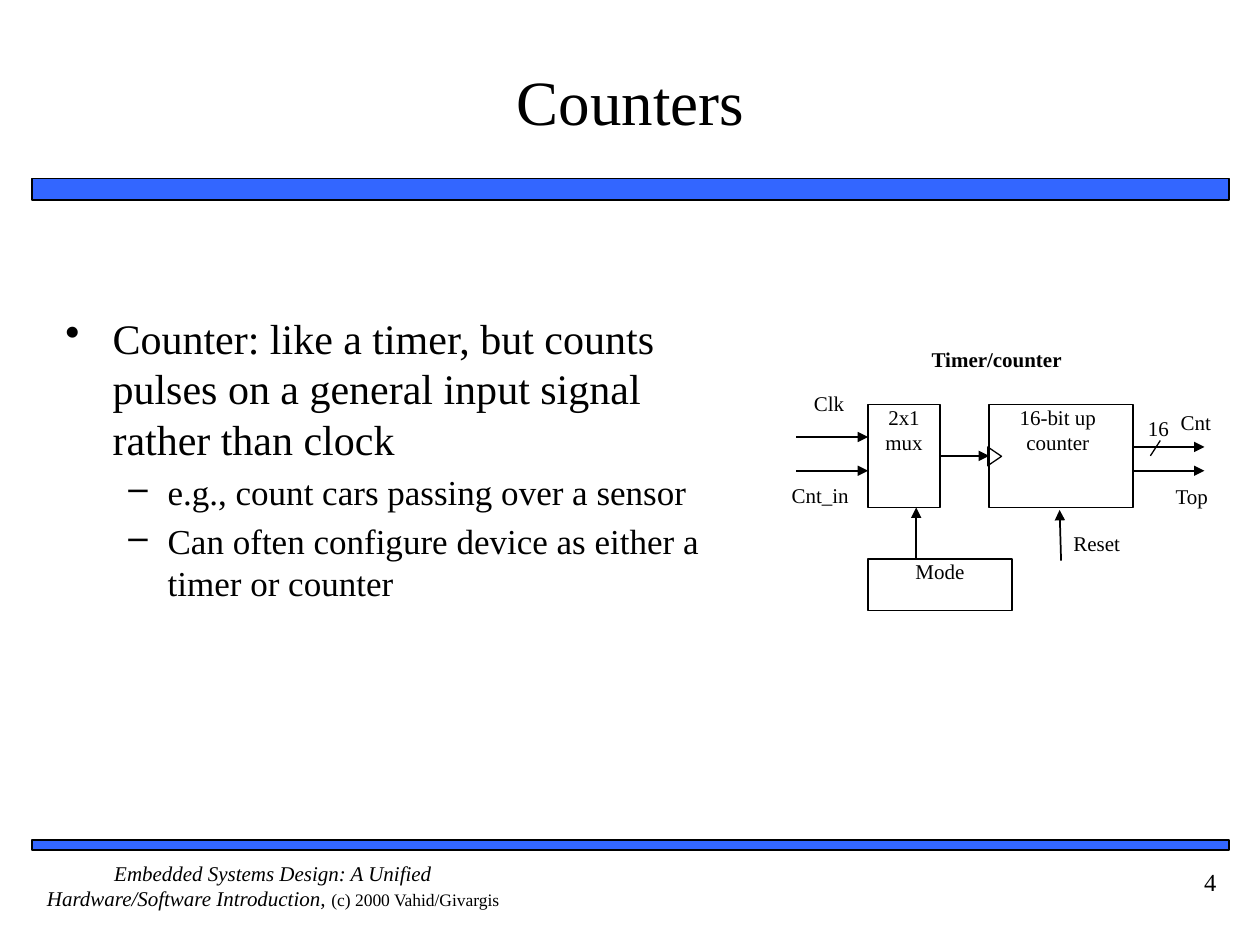
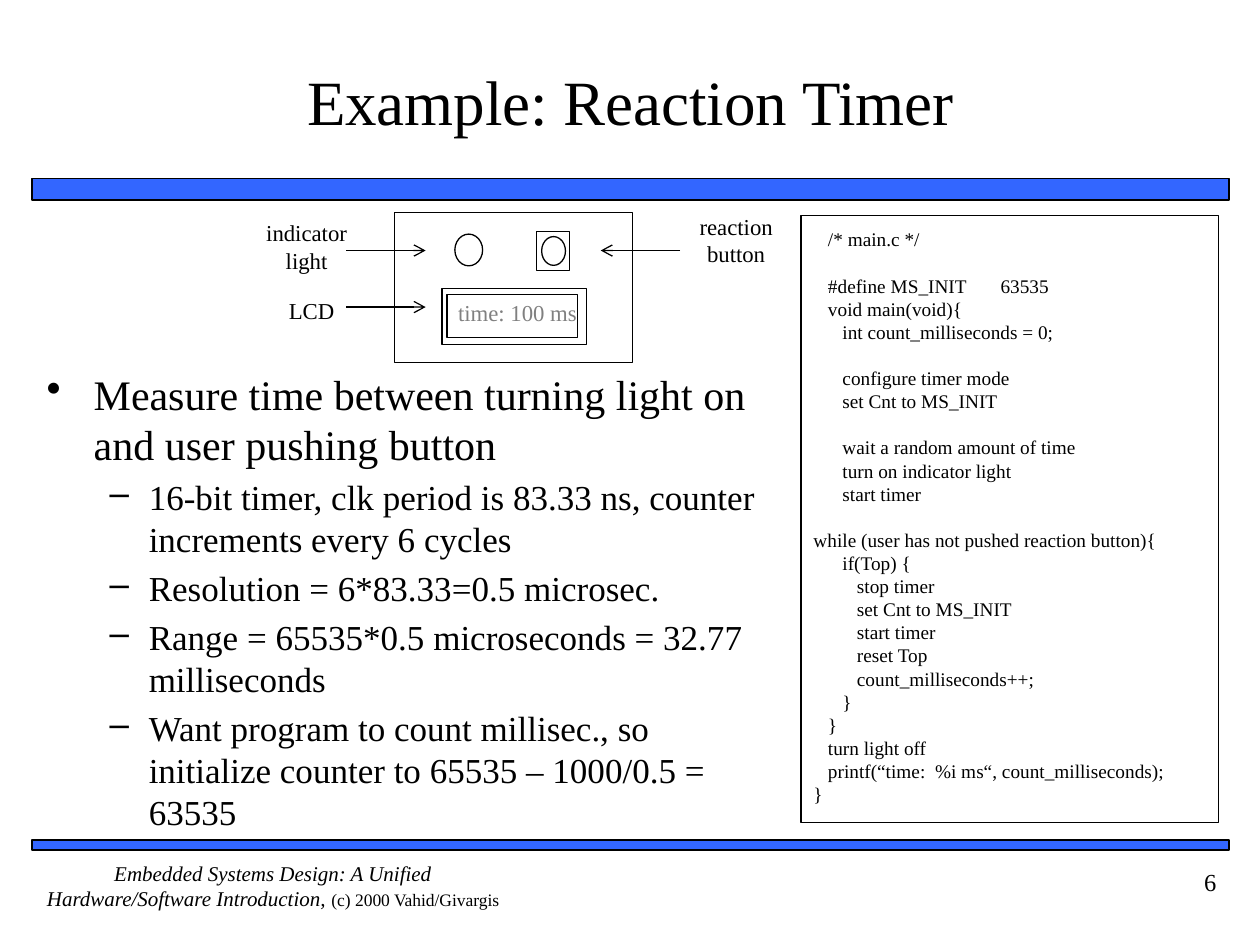
"""Build two lecture slides on counters and timers."""
from dataclasses import dataclass

import lxml.etree
import pptx
import pptx.dml.color
import pptx.enum.shapes
import pptx.enum.text
import pptx.oxml.ns
import pptx.util

Cm = pptx.util.Cm
Pt = pptx.util.Pt
Preset = pptx.enum.shapes.MSO_SHAPE
Align = pptx.enum.text.PP_ALIGN
Anchor = pptx.enum.text.MSO_ANCHOR

FONT = "Times New Roman"
COLOURS = {"ink": "000000", "band": "3366FF", "paper": "FFFFFF", "display": "808080"}
BULLETS = [("•", 24, 0.95, -0.95), ("–", 20, 2.06, -0.79)]
CODE_SIZE = 11
BLANK_LINE = Pt(13.2)

PROGRAM = [
    ["   /* main.c */"],
    ["   #define MS_INIT\t63535",
     "   void main(void){",
     "      int count_milliseconds = 0;"],
    ["      configure timer mode",
     "      set Cnt to MS_INIT"],
    ["      wait a random amount of time",
     "      turn on indicator light",
     "      start timer"],
    ["while (user has not pushed reaction button){",
     "      if(Top) {",
     "         stop timer",
     "         set Cnt to MS_INIT",
     "         start timer",
     "         reset Top",
     "         count_milliseconds++;",
     "      }",
     "   }",
     "   turn light off",
     "   printf(“time:  %i ms“, count_milliseconds);",
     "}"],
]


def rgb(name):
    """Return the named colour."""
    return pptx.dml.color.RGBColor.from_string(COLOURS[name])


def add_xml(parent, tag, **attributes):
    """Append a DrawingML element to the parent."""
    return lxml.etree.SubElement(parent, pptx.oxml.ns.qn(tag), attributes)


def style(font, size, colour="ink", bold=False, italic=False):
    """Set the shared typeface with the given size and look."""
    font.name = FONT
    font.size = Pt(size)
    font.color.rgb = rgb(colour)
    font.bold = bold
    font.italic = italic


def prepare(frame, insets=(0, 0, 0, 0), anchor=Anchor.TOP):
    """Make a text frame wrap, with insets given as left, top, right, bottom."""
    frame.word_wrap = True
    frame.vertical_anchor = anchor
    frame.margin_left, frame.margin_top, frame.margin_right, frame.margin_bottom = map(Cm, insets)
    return frame


def fill_paragraph(paragraph, text, size, align=Align.CENTER, **look):
    """Write one uniformly styled paragraph."""
    paragraph.text = text
    paragraph.alignment = align
    style(paragraph.font, size, **look)


@dataclass
class Region:
    """A part of a slide whose contents are placed from its top left corner."""

    slide: object
    left: float
    top: float
    width: float
    height: float

    def place(self, x, y, width, height):
        """Turn a local box in centimetres into slide lengths."""
        return Cm(self.left + x), Cm(self.top + y), Cm(width), Cm(height)

    def frame(self, insets=(0, 0, 0, 0), anchor=Anchor.TOP):
        """Add a text box that covers the region."""
        box = self.slide.shapes.add_textbox(*self.place(0, 0, self.width, self.height))
        return prepare(box.text_frame, insets, anchor)

    def label(self, text, x, y, width, height, size=12, **look):
        """Add a short text."""
        box = self.slide.shapes.add_textbox(*self.place(x, y, width, height))
        fill_paragraph(prepare(box.text_frame).paragraphs[0], text, size, **look)

    def outline(self, x, y, width, height, preset=Preset.RECTANGLE, fill=None, weight=0.75):
        """Add a black-edged shape."""
        shape = self.slide.shapes.add_shape(preset, *self.place(x, y, width, height))
        shape.shadow.inherit = False
        if fill:
            shape.fill.solid()
            shape.fill.fore_color.rgb = rgb(fill)
        else:
            shape.fill.background()
        shape.line.color.rgb = rgb("ink")
        shape.line.width = Pt(weight)
        return shape

    def block(self, text, x, y, width, height, right_inset=0):
        """Add a labelled block of a circuit."""
        frame = prepare(self.outline(x, y, width, height).text_frame, (0, 0, right_inset, 0))
        fill_paragraph(frame.paragraphs[0], text, 12)

    def wire(self, x1, y1, x2, y2, head=None, weight=1):
        """Add a straight line, with an arrowhead at its end if one is named."""
        line = self.slide.shapes.add_connector(
            pptx.enum.shapes.MSO_CONNECTOR.STRAIGHT,
            Cm(self.left + x1), Cm(self.top + y1), Cm(self.left + x2), Cm(self.top + y2))
        line.line.color.rgb = rgb("ink")
        line.line.width = Pt(weight)
        if head:
            add_xml(line.line._get_or_add_ln(), "a:tailEnd", type=head)
        add_xml(line._element.spPr, "a:effectLst")


def add_header(region, title):
    """Write the slide title above its band."""
    frame = region.frame((0, 0.13, 0, 0.13), Anchor.MIDDLE)
    fill_paragraph(frame.paragraphs[0], title, 36)
    region.outline(-0.43, 3.17, 24.13, 0.43, fill="band", weight=1)


def add_footer(region, number):
    """Draw the footer band, the book credit and the page number."""
    region.outline(0, 0, region.width, 0.2, fill="band", weight=1)
    credit = Region(region.slide, region.left, region.top + 0.41, 9.73, 1.27).frame().paragraphs[0]
    credit.alignment = Align.CENTER
    for text, size, italic in [
            ("Embedded Systems Design: A Unified Hardware/Software Introduction, ", 12, True),
            ("(c) 2000 Vahid/Givargis", 10, False)]:
        run = credit.add_run()
        run.text = text
        style(run.font, size, italic=italic)
    region.label(str(number), 21.84, 0.54, 2.04, 1.02, size=14, align=Align.RIGHT)


def add_bullets(region, points):
    """Write (level, text) points as a bulleted list."""
    frame = region.frame((0.25, 0.13, 0.25, 0.13))
    for index, (level, text) in enumerate(points):
        paragraph = frame.add_paragraph() if index else frame.paragraphs[0]
        mark, size, margin, indent = BULLETS[level]
        properties = paragraph._p.get_or_add_pPr()
        properties.set("marL", str(Cm(margin)))
        properties.set("indent", str(Cm(indent)))
        add_xml(properties, "a:buChar", char=mark)
        paragraph.level = level
        if index:
            paragraph.space_before = Pt(size * 0.2)
        fill_paragraph(paragraph, text, size, align=Align.LEFT)


def add_counter_circuit(region):
    """Draw the timer/counter block diagram."""
    region.label("Timer/counter", 2.44, 0, 4.17, 0.69, bold=True)
    region.block("2x1 mux", 1.93, 1.17, 1.45, 2.08)
    region.block("16-bit up counter", 4.37, 1.17, 2.9, 2.08, right_inset=0.13)
    region.block("Mode", 1.93, 4.29, 2.9, 1.04)
    clock_input = region.outline(4.29, 2.08, 0.38, 0.28, Preset.ISOSCELES_TRIANGLE)
    clock_input.rotation = 90
    for ends in [(0.48, 1.83, 1.93, 1.83), (0.48, 2.51, 1.93, 2.51),
                 (3.4, 2.21, 4.37, 2.21), (7.26, 2.03, 8.71, 2.03),
                 (7.26, 2.51, 8.71, 2.51), (2.9, 4.29, 2.9, 3.25),
                 (5.82, 4.32, 5.79, 3.3)]:
        region.wire(*ends, head="triangle")
    region.wire(7.82, 1.9, 7.62, 2.21, weight=0.75)
    region.label("Clk", 0.36, 0.89, 1.57, 0.71)
    region.label("Cnt_in", 0, 2.74, 1.93, 0.79)
    for text, x, y, width in [("16", 7.57, 1.4, 0.64), ("Cnt", 8.23, 1.27, 1.09),
                              ("Top", 8.13, 2.77, 1.09), ("Reset", 6.07, 3.71, 1.85)]:
        region.label(text, x, y, width, 0.7, align=Align.LEFT)


def add_reaction_device(region):
    """Draw the device with its light, button and display."""
    region.outline(2.67, 0, 4.8, 3.02)
    region.outline(3.89, 0.43, 0.56, 0.64, Preset.OVAL, fill="paper")
    region.outline(5.54, 0.38, 0.66, 0.79)
    region.outline(5.64, 0.48, 0.48, 0.58, Preset.OVAL)
    region.outline(3.63, 1.52, 2.92, 1.14)
    region.outline(3.73, 1.65, 2.64, 0.86)
    region.label("time: 100 ms", 3.84, 1.73, 2.62, 0.71, size=13, colour="display")
    region.label("indicator light", 0, 0.13, 1.8, 1.19, size=13)
    region.label("reaction button", 8.76, 0, 1.6, 1.14, size=13)
    region.label("LCD", 0.3, 1.7, 1.4, 0.64, size=13)
    for start, end, y in [(1.7, 3.3, 0.76), (1.7, 3.3, 1.9), (8.43, 6.83, 0.76)]:
        region.wire(start, y, end, y, head="arrow", weight=0.75)


def add_program(region, groups):
    """Write groups of code lines in a frame, one line apart."""
    listing = region.outline(0, 0, region.width, region.height)
    frame = prepare(listing.text_frame, (0.25, 0.25, 0.25, 0.25))
    for group_index, group in enumerate(groups):
        for line_index, code in enumerate(group):
            first = group_index == line_index == 0
            paragraph = frame.paragraphs[0] if first else frame.add_paragraph()
            if "\t" in code:
                stops = add_xml(paragraph._p.get_or_add_pPr(), "a:tabLst")
                add_xml(stops, "a:tab", pos=str(Cm(3.77)), algn="l")
            if group_index and line_index == 0:
                paragraph.space_before = BLANK_LINE
            fill_paragraph(paragraph, code, CODE_SIZE, align=Align.LEFT)


def add_lecture_slide(deck, title, number):
    """Add a slide with the shared header and footer."""
    slide = deck.slides.add_slide(deck.slide_layouts[6])
    add_header(Region(slide, 1.07, 0.43, 23.29, 3.18), title)
    add_footer(Region(slide, 0.64, 16.94, 24.13, 1.68), number)
    return slide


def main():
    """Build and save the slides."""
    deck = pptx.Presentation()
    deck.slide_width, deck.slide_height = Cm(25.4), Cm(19.05)

    counters = add_lecture_slide(deck, "Counters", 4)
    add_bullets(Region(counters, 1.07, 6.17, 14.2, 9.8), [
        (0, "Counter: like a timer, but counts pulses on a general input signal rather than clock"),
        (1, "e.g., count cars passing over a sensor"),
        (1, "Can often configure device as either a timer or counter")])
    add_counter_circuit(Region(counters, 15.57, 6.98, 9.32, 5.33))

    reaction = add_lecture_slide(deck, "Example: Reaction Timer", 6)
    add_reaction_device(Region(reaction, 5.28, 4.29, 10.36, 3.02))
    add_program(Region(reaction, 16.15, 4.34, 8.41, 12.24), PROGRAM)
    add_bullets(Region(reaction, 0.69, 7.29, 15.21, 8.38), [
        (0, "Measure time between turning light on and user pushing button"),
        (1, "16-bit timer, clk period is 83.33 ns, counter increments every 6 cycles"),
        (1, "Resolution = 6*83.33=0.5 microsec."),
        (1, "Range = 65535*0.5 microseconds = 32.77 milliseconds"),
        (1, "Want program to count millisec., so initialize counter to 65535 – 1000/0.5 = 63535")])

    deck.save("out.pptx")


if __name__ == "__main__":
    main()
